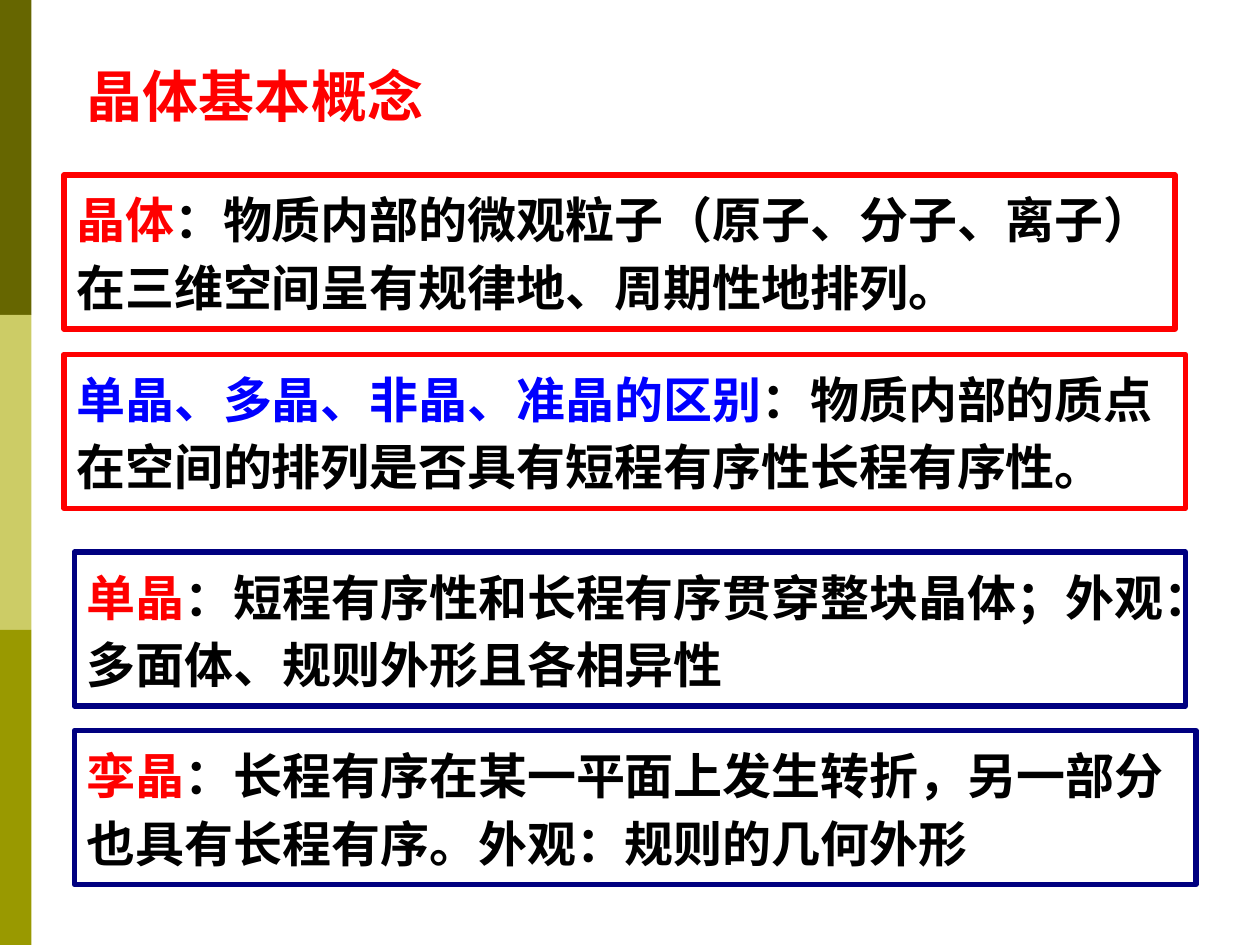
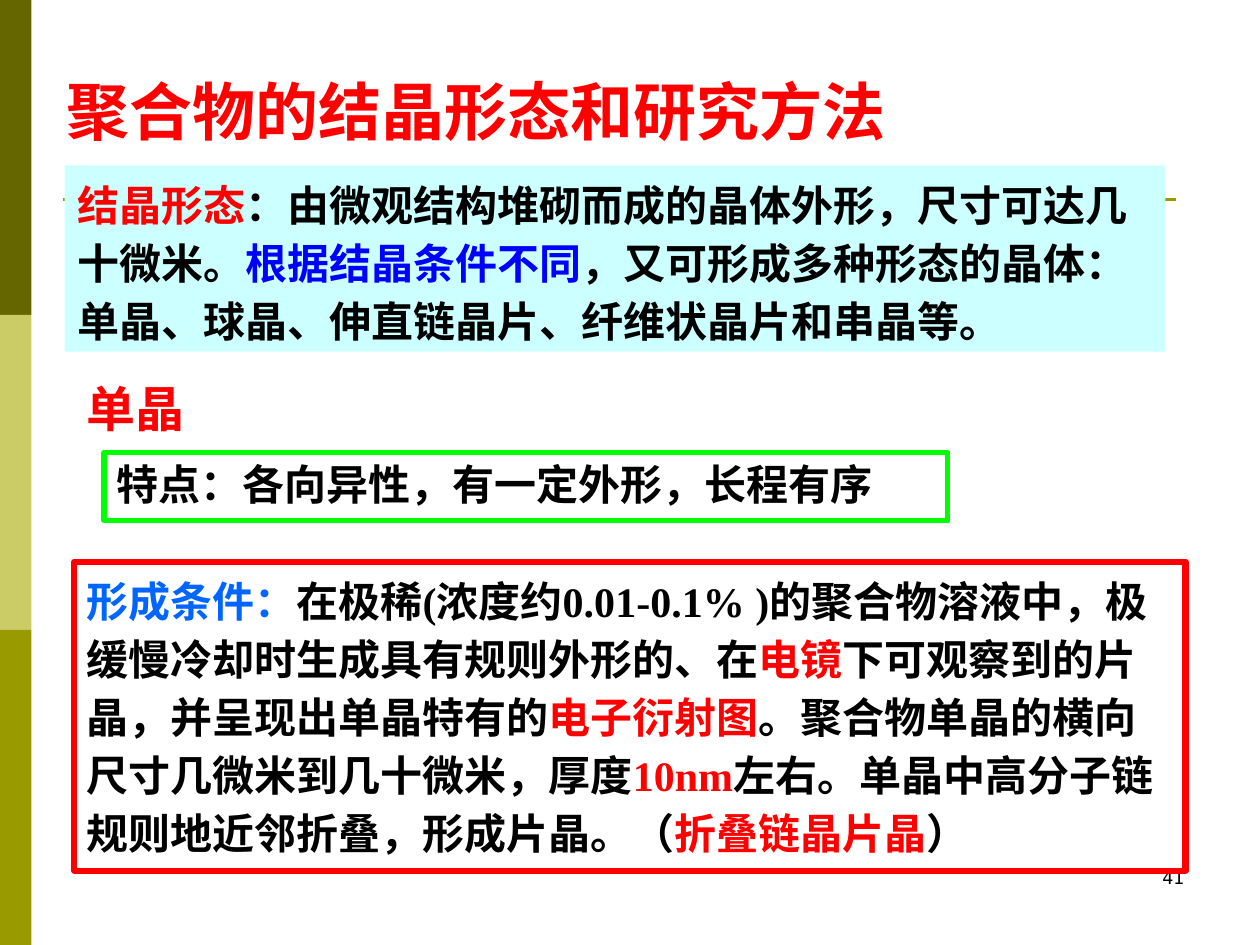
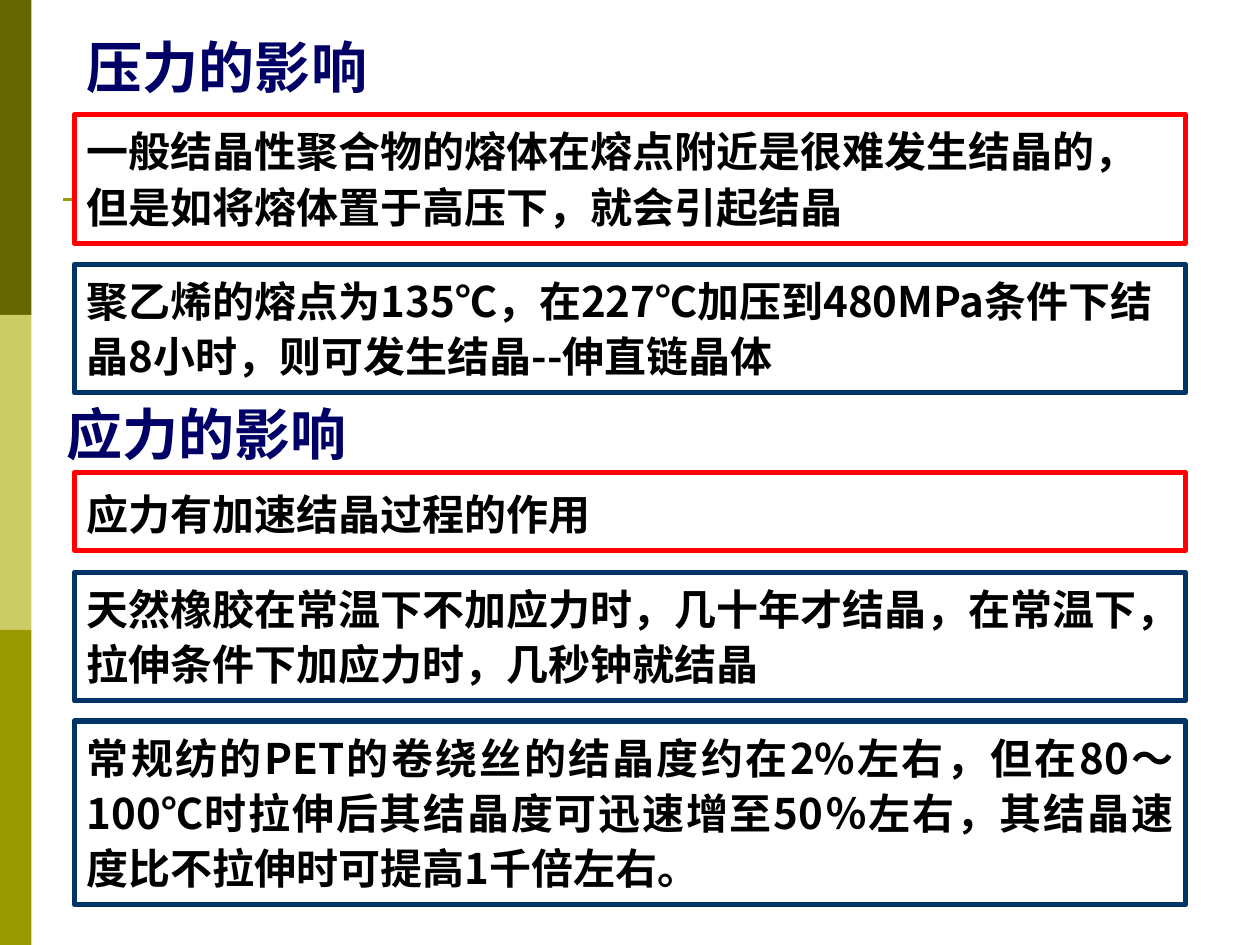
from dataclasses import dataclass

from lxml import etree
from pptx import Presentation
from pptx.dml.color import RGBColor
from pptx.enum import shapes, text
from pptx.oxml.ns import qn
from pptx.util import Pt


@dataclass(frozen=True)
class Theme:
    # Colours
    red: str = "FF0000"
    blue: str = "0000FF"
    sky: str = "0066FF"
    navy: str = "000080"
    ink: str = "000066"
    steel: str = "003366"
    green: str = "00FF00"
    black: str = "000000"
    white: str = "FFFFFF"
    pale: str = "CCFFFF"
    rule: str = "999900"
    bands: tuple = ("666600", "CCCC66", "999900")
    # Type
    sans: str = "Noto Sans CJK SC"
    serif: str = "Times New Roman"
    plain: str = "DejaVu Sans"
    huge: int = 36
    head: int = 32
    large: int = 28
    body: int = 24
    tiny: int = 10


T = Theme()
WIDE, HIGH = 720, 540
LEFT, SPAN = 42.5, 635


def rgb(code):
    return RGBColor.from_string(code)


def place(shape, box):
    shape.left, shape.top, shape.width, shape.height = map(Pt, box)


def write(shape, parts, size, face=T.sans, bold=True, space=1.0,
          align=text.PP_ALIGN.LEFT, anchor=text.MSO_ANCHOR.TOP):
    """Fill a shape with one paragraph of (text, colour) parts."""
    frame = shape.text_frame
    frame.word_wrap = True
    frame.auto_size = text.MSO_AUTO_SIZE.NONE
    frame.vertical_anchor = anchor
    para = frame.paragraphs[0]
    para.alignment = align
    para.line_spacing = space
    font = para.font
    font.size, font.bold, font.name = Pt(size), bold, face
    props = para._p.get_or_add_pPr().find(qn("a:defRPr"))
    etree.SubElement(props, qn("a:ea")).set("typeface", T.sans)
    for words, tint in parts:
        run = para.add_run()
        run.text = words
        run.font.color.rgb = rgb(tint)


def label(slide, box, parts, size, **style):
    shape = slide.shapes.add_textbox(*map(Pt, box))
    write(shape, parts, size, **style)
    return shape


def panel(slide, box, parts, size, edge=None, fill=None, width=3, **style):
    shape = label(slide, box, parts, size, **style)
    if fill:
        shape.fill.solid()
        shape.fill.fore_color.rgb = rgb(fill)
    if edge:
        shape.line.color.rgb = rgb(edge)
        shape.line.width = Pt(width)


def title(slide, box, words, tint, size=T.head, **style):
    shape = slide.shapes.title
    place(shape, box)
    write(shape, [(words, tint)], size, **style)


def frame_deck(deck, slide):
    """Draw the side bands and the rule, then move them to the master."""
    parts = []
    step = HIGH / len(T.bands)
    for row, tint in enumerate(T.bands):
        band = slide.shapes.add_shape(
            shapes.MSO_SHAPE.RECTANGLE, 0, Pt(row * step), Pt(18), Pt(step))
        band.shadow.inherit = False
        band.fill.solid()
        band.fill.fore_color.rgb = rgb(tint)
        band.line.fill.background()
        parts.append(band)
    rule = slide.shapes.add_connector(
        shapes.MSO_CONNECTOR.STRAIGHT, Pt(36), Pt(114), Pt(672), Pt(114))
    rule.line.color.rgb = rgb(T.rule)
    rule.line.width = Pt(1.5)
    etree.SubElement(rule.element.spPr, qn("a:effectLst"))
    parts.append(rule)
    for code, part in enumerate(parts, 20):
        part.element.xpath("./*/p:cNvPr")[0].set("id", str(code))
        deck.slide_master.shapes.element.append(part.element)


def concepts(slide):
    title(slide, (LEFT, 31.5, 400, 45.5), "晶体基本概念", T.red)
    rows = [
        ((36.5, 100, 635, 88), T.red, T.white, "晶体", T.red,
         "：物质内部的微观粒子（原子、分子、离子）在三维空间呈有规律地、周期性地排列。"),
        ((36.5, 202.5, 641, 88), T.red, None, "单晶、多晶、非晶、准晶的区别", T.blue,
         "：物质内部的质点在空间的排列是否具有短程有序性长程有序性。"),
        ((LEFT, 315.5, 635, 88), T.navy, None, "单晶", T.red,
         "：短程有序性和长程有序贯穿整块晶体；外观：多面体、规则外形且各相异性"),
        ((LEFT, 417.5, 641, 88), T.navy, T.white, "孪晶", T.red,
         "：长程有序在某一平面上发生转折，另一部分也具有长程有序。外观：规则的几何外形"),
    ]
    for box, edge, fill, term, tint, words in rows:
        panel(slide, box, [(term, tint), (words, T.black)], T.large,
              edge, fill, space=1.15)


def forms(slide):
    title(slide, (31, 31.5, 648, 57), "聚合物的结晶形态和研究方法", T.red,
          T.huge, anchor=text.MSO_ANCHOR.BOTTOM)
    # Page number
    label(slide, (516, 492, 168, 36), [("41", T.black)], T.tiny,
          face=T.plain, bold=False, align=text.PP_ALIGN.RIGHT)
    # Definition
    panel(slide, (37, 94.5, 629, 106.5), [
        ("结晶形态", T.red),
        ("：由微观结构堆砌而成的晶体外形，尺寸可达几十微米。", T.black),
        ("根据结晶条件不同", T.blue),
        ("，又可形成多种形态的晶体：单晶、球晶、伸直链晶片、纤维状晶片和串晶等。",
         T.black),
    ], T.body, fill=T.pale, face=T.serif, space=1.15)
    # Single crystals
    label(slide, (LEFT, 213, 227, 41), [("单晶", T.red)], T.large)
    panel(slide, (59.5, 258.5, 482, 39),
          [("特点：各向异性，有一定外形，长程有序", T.black)],
          T.body, T.green, face=T.serif)
    panel(slide, (LEFT, 321, SPAN, 176.5), [
        ("形成条件：", T.sky),
        ("在极稀(浓度约0.01-0.1% )的聚合物溶液中，极缓慢冷却时生成具有规则外形的、在",
         T.black),
        ("电镜", T.red),
        ("下可观察到的片晶，并呈现出单晶特有的", T.black),
        ("电子衍射图", T.red),
        ("。聚合物单晶的横向尺寸几微米到几十微米，厚度", T.black),
        ("10nm", T.red),
        ("左右。单晶中高分子链规则地近邻折叠，形成片晶。（", T.black),
        ("折叠链晶片晶", T.red),
        ("）", T.black),
    ], T.body, T.red, width=3.5, face=T.serif, space=1.15)


def effects(slide):
    title(slide, (LEFT, 15, 629, 45.5), "压力的影响", T.ink)
    label(slide, (31, 224.5, 629, 45.5), [("应力的影响", T.ink)], T.head)
    left, full = text.PP_ALIGN.LEFT, text.PP_ALIGN.JUSTIFY
    rows = [
        (65.5, 73.5, T.red, 1.1, left,
         "一般结晶性聚合物的熔体在熔点附近是很难发生结晶的，但是如将熔体置于高压下，就会引起结晶"),
        (151, 73.5, T.steel, 1.1, left,
         "聚乙烯的熔点为135℃，在227℃加压到480MPa条件下结晶8小时，则可发生结晶--伸直链晶体"),
        (270, 44.5, T.red, 1.2, left, "应力有加速结晶过程的作用"),
        (327, 73.5, T.steel, 1.1, left,
         "天然橡胶在常温下不加应力时，几十年才结晶，在常温下，拉伸条件下加应力时，几秒钟就结晶"),
        (412, 105, T.steel, 1.1, full,
         "常规纺的PET的卷绕丝的结晶度约在2%左右，但在80～100℃时拉伸后其结晶度可迅速增至50％左右，"
         "其结晶速度比不拉伸时可提高1千倍左右。"),
    ]
    for top, tall, edge, space, align, words in rows:
        panel(slide, (LEFT, top, SPAN, tall), [(words, T.black)], T.body,
              edge, T.white, space=space, align=align)


def main():
    deck = Presentation()
    deck.slide_width, deck.slide_height = Pt(WIDE), Pt(HIGH)
    layout = deck.slide_layouts[5]
    for page, build in enumerate((concepts, forms, effects)):
        slide = deck.slides.add_slide(layout)
        if page == 0:
            frame_deck(deck, slide)
        build(slide)
    deck.save("out.pptx")


if __name__ == "__main__":
    main()
